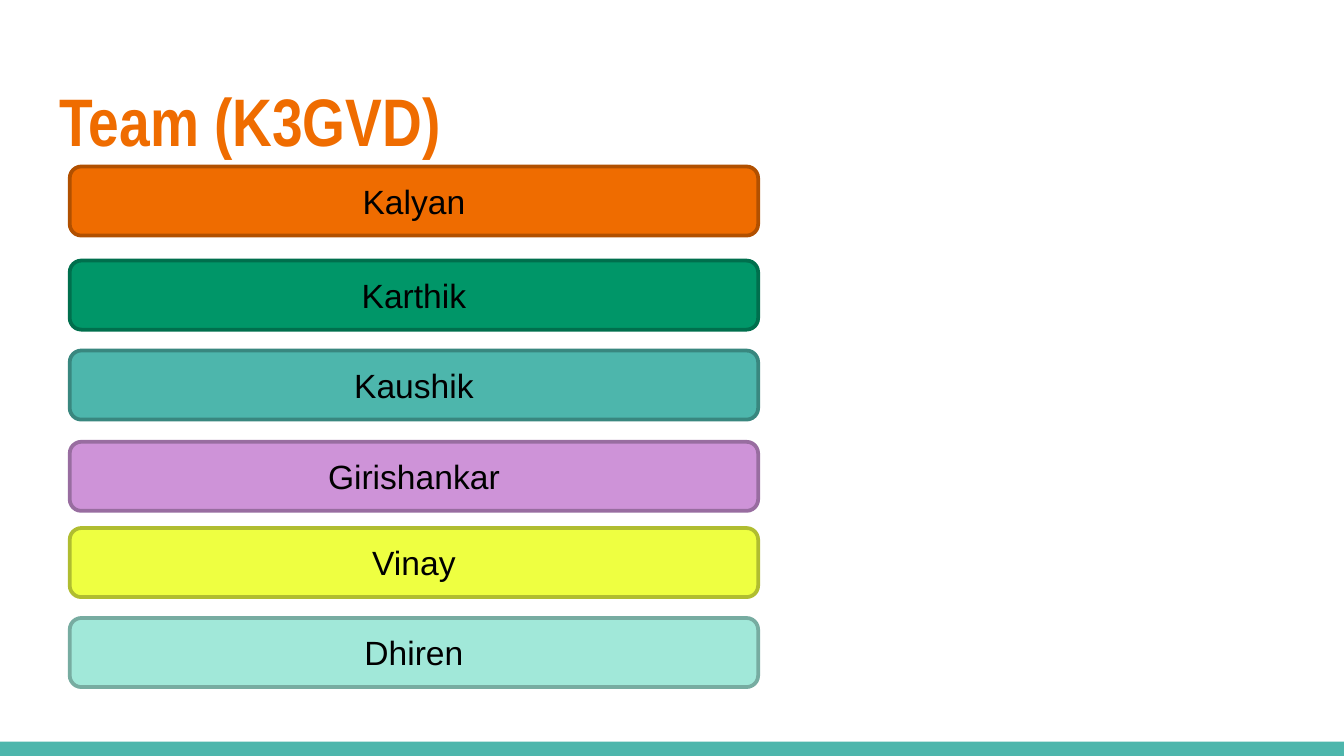
from pptx import Presentation
from pptx.dml.color import RGBColor
from pptx.enum.shapes import MSO_SHAPE
from pptx.enum.text import MSO_ANCHOR, MSO_AUTO_SIZE, PP_ALIGN
from pptx.util import Pt

HUES = {
    "text": "000000", "teal": "4DB6AC", "teal_edge": "39877F",
    "orange": "EF6C00", "orange_edge": "B15000",
    "green": "009668", "green_edge": "006F4D",
    "purple": "CE93D8", "purple_edge": "986DA0",
    "yellow": "EEFF41", "yellow_edge": "B0BD30",
    "mint": "A1E8D9", "mint_edge": "77ACA1",
}
TEAM = [
    ("Kalyan", "orange", 0), ("Karthik", "green", 50.4),
    ("Kaushik", "teal", 98.6), ("Girishankar", "purple", 147.5),
    ("Vinay", "yellow", 193.7), ("Dhiren", "mint", 241.9),
]
HEAD = {"name": "Arial Narrow", "size": Pt(36), "bold": True}
BODY = {"name": "Arial", "size": Pt(18), "bold": False}
INSET = {f"margin_{side}": Pt(7.2) for side in ("left", "top", "right", "bottom")}


def color(name):
    """Return the named colour."""
    return RGBColor.from_string(HUES[name])


def apply(item, style):
    """Set each attribute of the item from the style."""
    for key, value in style.items():
        setattr(item, key, value)


def write(shape, text, font, hue, align, anchor):
    """Put one formatted line of text into the shape."""
    frame = shape.text_frame
    apply(frame, {**INSET, "word_wrap": True, "auto_size": MSO_AUTO_SIZE.NONE,
                  "vertical_anchor": anchor})
    line = frame.paragraphs[0]
    line.alignment = align
    run = line.add_run()
    run.text = text
    apply(run.font, font)
    run.font.color.rgb = color(hue)


def add_block(slide, kind, box, hue):
    """Add a plain filled shape in the box."""
    block = slide.shapes.add_shape(kind, *map(Pt, box))
    block.shadow.inherit = False
    block.fill.solid()
    block.fill.fore_color.rgb = color(hue)
    block.line.fill.background()
    return block


def add_title(slide, box, text):
    """Place the slide title in the box."""
    title = slide.shapes.title
    apply(title, dict(zip(("left", "top", "width", "height"), map(Pt, box))))
    write(title, text, HEAD, "orange", PP_ALIGN.LEFT, MSO_ANCHOR.TOP)


def add_team(slide, box, team):
    """Stack one name bar per member from the top of the box."""
    left, top, width, height = box
    for name, hue, drop in team:
        spot = (left, top + drop, width, height - team[-1][2])
        bar = add_block(slide, MSO_SHAPE.ROUNDED_RECTANGLE, spot, hue)
        bar.line.color.rgb = color(f"{hue}_edge")
        bar.line.width = Pt(2)
        write(bar, name, BODY, "text", PP_ALIGN.CENTER, MSO_ANCHOR.MIDDLE)


def main():
    """Build and save the team slide."""
    deck = Presentation()
    apply(deck, {"slide_width": Pt(720), "slide_height": Pt(405)})
    slide = deck.slides.add_slide(deck.slide_layouts[5])
    add_block(slide, MSO_SHAPE.RECTANGLE, (0, 397.3, 720, 7.7), "teal")
    add_title(slide, (24.5, 35.3, 671, 55.4), "Team (K3GVD)")
    add_team(slide, (37.4, 89.2, 368.8, 278.9), TEAM)
    deck.save("out.pptx")


if __name__ == "__main__":
    main()
